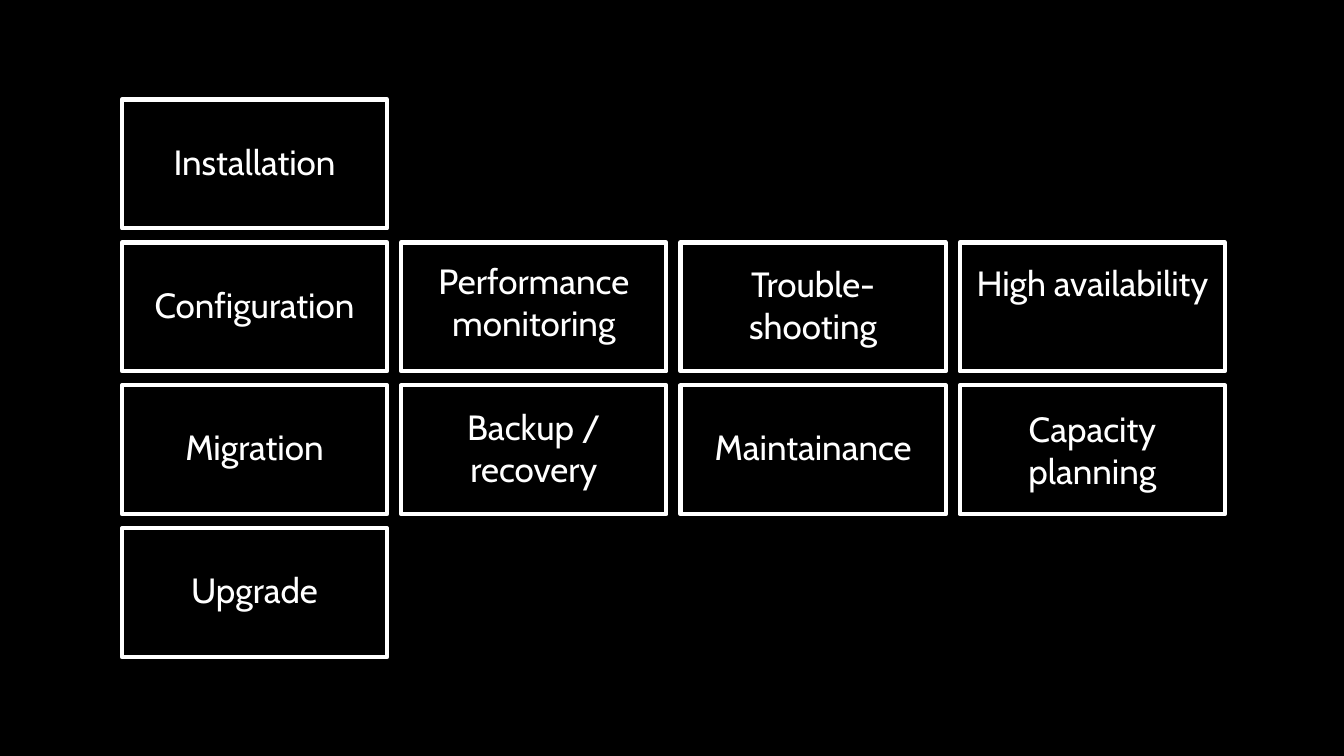
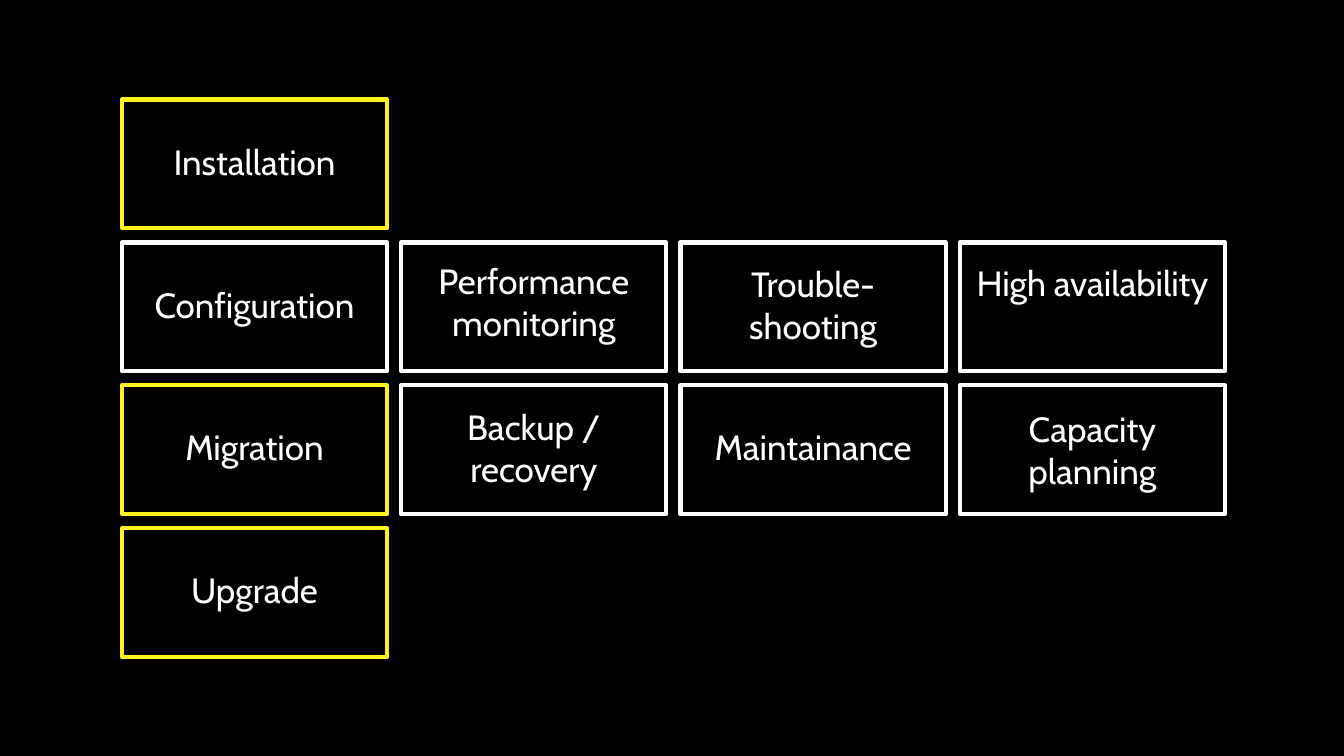
import pptx
import pptx.dml.color
import pptx.enum.shapes
import pptx.enum.text
import pptx.util

Pt = pptx.util.Pt

# Grid of tiles, in points
GRID_LEFT, GRID_TOP = 87.1, 71.1
TILE_WIDTH, TILE_HEIGHT = 189.4, 92
GAP = 10.1

# Space above the text inside a tile
ONE_LINE, TWO_LINES = 29, 14.4

# Label, column, row, space above the text
TILES = [
    ("Installation", 0, 0, ONE_LINE),
    ("Configuration", 0, 1, ONE_LINE),
    ("Migration", 0, 2, ONE_LINE),
    ("Upgrade", 0, 3, ONE_LINE),
    ("Performance monitoring", 1, 1, 12.2),
    ("Backup / recovery", 1, 2, TWO_LINES),
    ("Trouble-shooting", 2, 1, TWO_LINES),
    ("Maintainance", 2, 2, ONE_LINE),
    ("High availability", 3, 1, 13.6),
    ("Capacity planning", 3, 2, 15.6),
]


def color(value):
    return pptx.dml.color.RGBColor.from_string(value)


class TileDeck:
    FONT, SIZE = "Cabin", 25
    BACKGROUND, WHITE, YELLOW = "000000", "FFFFFF", "FFF21A"

    def __init__(self):
        self.deck = pptx.Presentation()
        self.deck.slide_width, self.deck.slide_height = Pt(960), Pt(540)
        self.page = None

    def add_page(self):
        self.page = self.deck.slides.add_slide(self.deck.slide_layouts[6])
        fill = self.page.background.fill
        fill.solid()
        fill.fore_color.rgb = color(self.BACKGROUND)

    def add_tile(self, label, column, row, space_above, outline):
        box = self.page.shapes.add_shape(
            pptx.enum.shapes.MSO_SHAPE.RECTANGLE,
            Pt(GRID_LEFT + column * (TILE_WIDTH + GAP)),
            Pt(GRID_TOP + row * (TILE_HEIGHT + GAP)),
            Pt(TILE_WIDTH), Pt(TILE_HEIGHT))
        box.shadow.inherit = False
        box.fill.background()
        box.line.color.rgb = color(outline)
        box.line.width = Pt(3)

        # Label
        frame = box.text_frame
        frame.word_wrap = True
        frame.vertical_anchor = pptx.enum.text.MSO_ANCHOR.TOP
        frame.margin_left = frame.margin_right = Pt(7.2)
        frame.margin_top, frame.margin_bottom = Pt(space_above), Pt(0)
        para = frame.paragraphs[0]
        para.alignment = pptx.enum.text.PP_ALIGN.CENTER
        span = para.add_run()
        span.text = label
        span.font.name = self.FONT
        span.font.size = Pt(self.SIZE)
        span.font.color.rgb = color(self.WHITE)

    def add_tile_page(self, highlighted=()):
        self.add_page()
        for label, column, row, space_above in TILES:
            outline = self.YELLOW if label in highlighted else self.WHITE
            self.add_tile(label, column, row, space_above, outline)


def main():
    tile_deck = TileDeck()
    # All topics, then the same grid with three of them highlighted
    tile_deck.add_tile_page()
    tile_deck.add_tile_page(("Installation", "Migration", "Upgrade"))
    tile_deck.deck.save("out.pptx")


if __name__ == "__main__":
    main()
